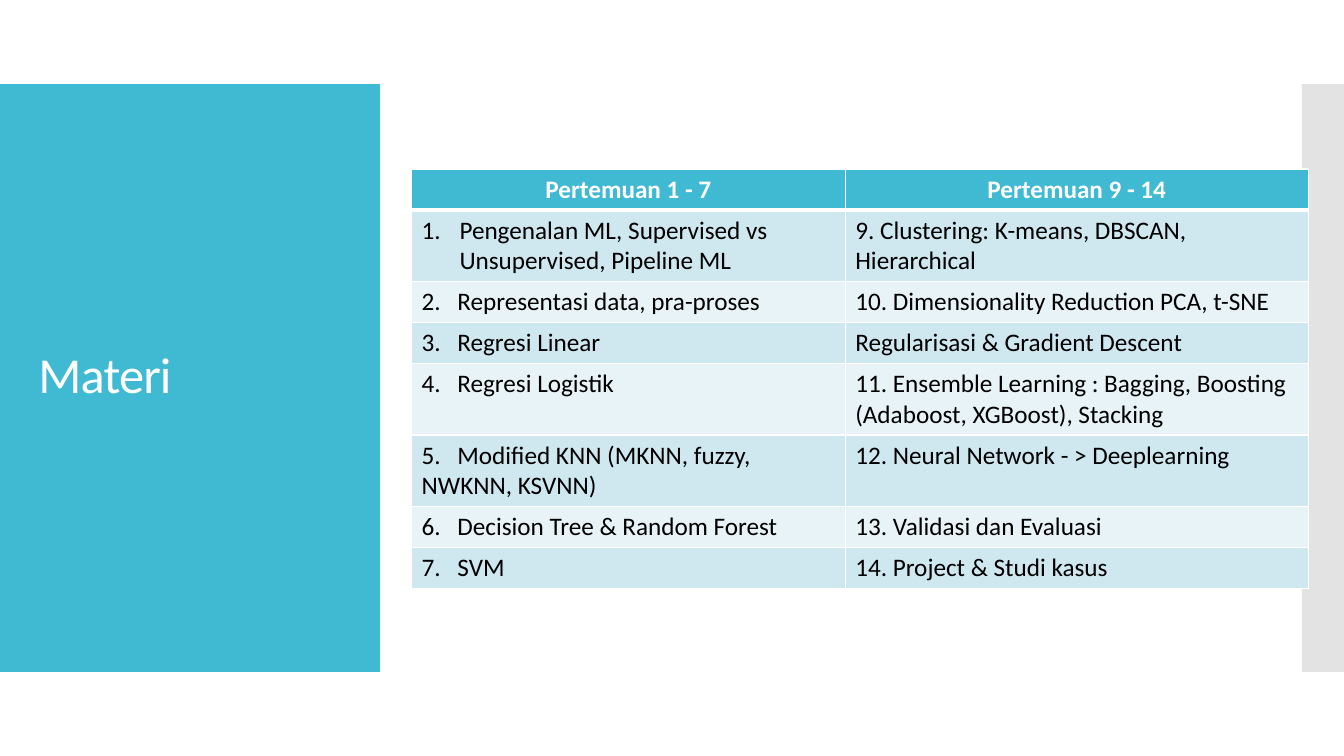
"""Build the Materi slide: a title panel beside a table of meetings."""
from lxml.etree import SubElement
from pptx import Presentation
from pptx.dml.color import RGBColor
from pptx.enum.shapes import MSO_SHAPE
from pptx.enum.text import MSO_ANCHOR, PP_ALIGN
from pptx.oxml.ns import qn
from pptx.util import Pt

PX = 9525
TEAL = RGBColor(0x40, 0xBA, 0xD2)
GREY = RGBColor(0xC8, 0xC8, 0xC8)
DARK = RGBColor(0xCF, 0xE7, 0xEE)
PALE = RGBColor(0xE8, 0xF3, 0xF7)
WHITE = RGBColor(0xFF, 0xFF, 0xFF)
BLACK = RGBColor(0, 0, 0)

TITLE = {"name": "Calibri", "size": Pt(36), "bold": False}
HEAD = {"name": "Calibri", "size": Pt(18), "bold": True}
BODY = {"name": "Calibri", "size": Pt(18), "bold": False}

COLS = (413, 441)
ROW = 39
HANG = 36
STOP = 34
ROWS = [
    ("Pertemuan 1 - 7", "Pertemuan 9 - 14"),
    ("Pengenalan ML, Supervised vs Unsupervised, Pipeline ML",
     "9. Clustering: K-means, DBSCAN, Hierarchical"),
    ("Representasi data, pra-proses", "10. Dimensionality Reduction PCA, t-SNE"),
    ("Regresi Linear", "Regularisasi & Gradient Descent"),
    ("Regresi Logistik",
     "11. Ensemble Learning : Bagging, Boosting (Adaboost, XGBoost), Stacking"),
    ("Modified KNN (MKNN, fuzzy, NWKNN, KSVNN)", "12. Neural Network - > Deeplearning"),
    ("Decision Tree & Random Forest", "13. Validasi dan Evaluasi"),
    ("SVM", "14. Project & Studi kasus"),
]


def scale(*sizes):
    """Turn px into EMU."""
    return [size * PX for size in sizes]


def write(frame, text, style, color):
    """Put one styled run in a frame and return its paragraph."""
    para = frame.paragraphs[0]
    run = para.add_run()
    run.text = text
    for key, value in style.items():
        setattr(run.font, key, value)
    run.font.color.rgb = color
    return para


def add_panel(slide, box, color, alpha=100):
    """Add a plain block behind the title."""
    panel = slide.shapes.add_shape(MSO_SHAPE.RECTANGLE, *scale(*box))
    panel.shadow.inherit = False
    panel.line.fill.background()
    panel.fill.solid()
    panel.fill.fore_color.rgb = color
    if alpha < 100:
        tint = panel.fill._xPr.find(".//" + qn("a:srgbClr"))
        SubElement(tint, qn("a:alpha"), val=str(alpha * 1000))
    slide.shapes._spTree.insert(2, panel._element)


def set_title(slide, box, text):
    """Move the title holder and write it."""
    title = slide.shapes.title
    title.left, title.top, title.width, title.height = scale(*box)
    frame = title.text_frame
    frame.word_wrap = True
    frame.vertical_anchor = MSO_ANCHOR.MIDDLE
    para = write(frame, text, TITLE, WHITE)
    para.alignment = PP_ALIGN.LEFT
    para.line_spacing = 0.9
    para.runs[0].font._element.set("spc", "-60")


def set_edges(cell, row):
    """Draw white cell lines, thick under the head row."""
    props = cell._tc.get_or_add_tcPr()
    thick = {"lnB": 0, "lnT": 1}
    for side in ("lnL", "lnR", "lnT", "lnB"):
        width = Pt(3 if thick.get(side) == row else 1)
        line = SubElement(props, qn("a:" + side), w=str(width))
        fill = SubElement(line, qn("a:solidFill"))
        SubElement(fill, qn("a:srgbClr"), val=str(WHITE))


def set_count(para, row):
    """Hang the first number and tab the text of the others."""
    props = para._p.get_or_add_pPr()
    if row == 1:
        props.set("marL", str(HANG * PX))
        props.set("indent", str(-HANG * PX))
        SubElement(props, qn("a:buFont"), typeface="+mj-lt")
        SubElement(props, qn("a:buAutoNum"), type="arabicPeriod")
    else:
        tabs = SubElement(props, qn("a:tabLst"))
        SubElement(tabs, qn("a:tab"), pos=str(STOP * PX), algn="l")


def fill_cell(cell, row, col, text):
    """Write and paint one cell by its place in the grid."""
    set_edges(cell, row)
    cell.fill.solid()
    if row == 0:
        cell.fill.fore_color.rgb = TEAL
        write(cell.text_frame, text, HEAD, WHITE).alignment = PP_ALIGN.CENTER
        return
    cell.fill.fore_color.rgb = DARK if row % 2 else PALE
    if col == 0 and row > 1:
        text = f"{row}.\t{text}"
    para = write(cell.text_frame, text, BODY, BLACK)
    if col == 0:
        set_count(para, row)


def add_grid(slide, left, top):
    """Add the table of meetings."""
    box = scale(left, top, sum(COLS), ROW * len(ROWS))
    table = slide.shapes.add_table(len(ROWS), len(COLS), *box).table
    for col, width in enumerate(COLS):
        table.columns[col].width = width * PX
    for row, texts in enumerate(ROWS):
        table.rows[row].height = ROW * PX
        for col, text in enumerate(texts):
            fill_cell(table.cell(row, col), row, col, text)


def main():
    """Build and save the slide."""
    deck = Presentation()
    deck.slide_width, deck.slide_height = scale(1280, 720)
    slide = deck.slides.add_slide(deck.slide_layouts[5])
    add_panel(slide, (0, 80, 362, 560), TEAL)
    add_panel(slide, (1240, 80, 40, 560), GREY, 50)
    set_title(slide, (27, 118, 309, 483), "Materi")
    add_grid(slide, 392, 161)
    deck.save("out.pptx")


if __name__ == "__main__":
    main()
